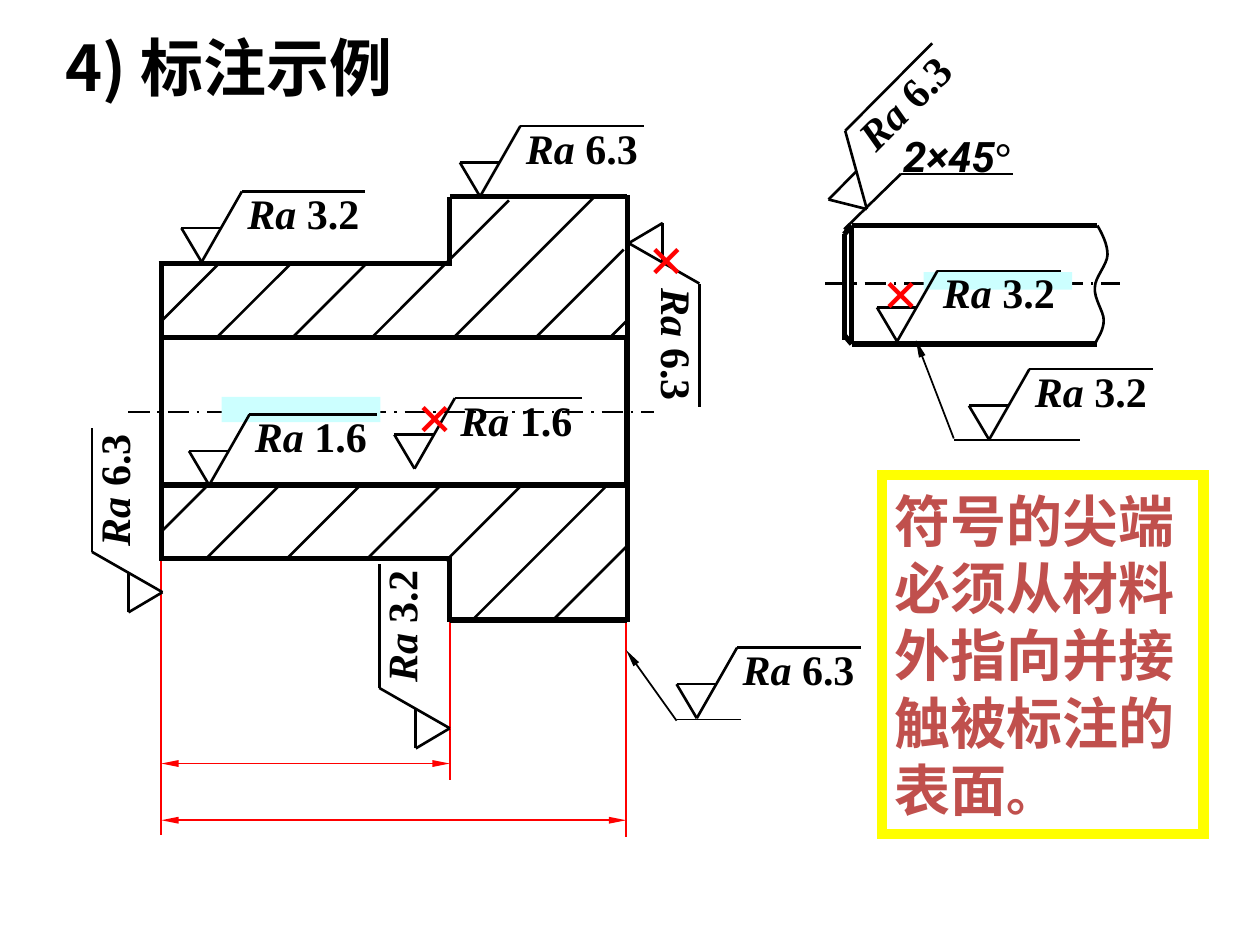
from math import cos, radians, sin

from lxml import etree
from pptx import Presentation
from pptx import util as u
from pptx.dml.color import RGBColor
from pptx.enum import dml, shapes, text
from pptx.oxml.ns import qn

BLACK, RED, YELLOW, CYAN, BRICK = "000000", "FF0000", "FFFF00", "CCFFFF", "C0504D"
CJK, SERIF, SANS = "Noto Sans CJK SC", "Times New Roman", "Roboto"

# Content: text
TITLE = "4) 标注示例"
NOTE = [[("符号的尖端必须从材料外指向并接", 32)], [("触被标注的表面", 32), ("。", 28)]]

# Content: roughness symbols as tip x, tip y, rotation, value, bar end
SYMBOLS = [
    (1.6, 2.08, 0, "3.2", 1.3), (3.81, 1.56, 0, "6.3", 1.3),
    (3.29, 3.72, 0, "1.6", 1.33), (1.66, 3.85, 0, "1.6", 1.33),
    (1.29, 4.7, 270, "6.3", 1.3), (3.57, 5.78, 270, "3.2", 1.3),
    (5.53, 5.7, 0, "6.3", 1.3), (4.99, 1.93, 90, "6.3", 1.3),
    (6.88, 1.66, 314.8, "6.3", 1.3), (7.85, 3.49, 0, "3.2", 1.3),
    (7.12, 2.71, 0, "3.2", 1.3),
]
WRONG_MARKS = [(5.4, 2.04), (3.56, 3.3), (7.26, 2.31)]
HIGHLIGHTS = [(7.33, 2.16, 1.18, 0.14), (1.76, 3.15, 1.26, 0.2)]

# Content: lines as x1, y1, x2, y2
CENTRE_LINES = [(6.55, 2.25, 8.89, 2.25), (1.02, 3.27, 5.19, 3.27)]
SHAFT_EDGES = [
    (6.76, 1.79, 6.76, 2.73), (6.76, 1.79, 8.71, 1.79), (6.76, 2.73, 8.71, 2.73),
    (6.76, 1.79, 6.7, 1.86), (6.76, 2.73, 6.7, 2.66), (6.7, 1.86, 6.7, 2.7),
]
BUSHING_EDGES = [
    (1.28, 2.08, 1.28, 4.45), (1.28, 4.43, 3.57, 4.43), (3.57, 2.11, 3.57, 1.56),
    (3.57, 1.56, 4.98, 1.56), (3.57, 4.42, 3.57, 4.94), (3.57, 4.92, 4.98, 4.92),
    (4.98, 1.55, 4.98, 4.94), (1.26, 2.09, 3.57, 2.09),
]
EXTENSION_LINES = [(4.97, 4.89, 4.97, 6.64), (1.28, 4.42, 1.28, 6.63), (3.57, 4.76, 3.57, 6.19)]
DIMENSIONS = [(1.28, 6.06, 3.57, 6.06), (1.28, 6.51, 4.97, 6.51)]
LEADERS = [(5.37, 5.72, 4.97, 5.16), (7.57, 3.48, 7.27, 2.7)]
LEADER_SHELVES = [(5.37, 5.71, 5.88, 5.71), (7.57, 3.49, 8.57, 3.49)]
CHAMFER_LINES = [(6.7, 1.82, 7.15, 1.38), (7.15, 1.38, 8.04, 1.38)]

# Hatching at 45 degrees: lower x, lower y, horizontal run
HATCHES = [
    (1.27, 2.56, 0.48), (1.72, 2.68, 0.58), (2.32, 2.68, 0.6), (2.95, 2.68, 1.09),
    (3.6, 2.68, 1.12), (4.25, 2.68, 0.7), (4.84, 2.68, 0.14), (1.27, 4.23, 0.37),
    (1.64, 4.43, 0.57), (2.28, 4.43, 0.57), (2.92, 4.43, 0.57), (3.54, 4.45, 0.59),
    (3.75, 4.92, 1.06), (4.38, 4.93, 0.6),
]
# Break curve of the shaft, as joined Bezier segments
BREAK_CURVE = [
    (8.71, 1.79), (8.75, 1.86), (8.79, 1.94), (8.79, 2.02), (8.79, 2.1), (8.69, 2.2),
    (8.69, 2.28), (8.68, 2.37), (8.76, 2.47), (8.76, 2.54), (8.76, 2.62), (8.72, 2.67), (8.69, 2.73),
]

presentation = Presentation()
presentation.slide_width, presentation.slide_height = u.Inches(10), u.Inches(7.5)
slide = presentation.slides.add_slide(presentation.slide_layouts[5])


def color(value):
    return RGBColor.from_string(value)


def inches(*values):
    return [u.Inches(value) for value in values]


def add_line(points, width, value=BLACK, dashed=False, arrows=()):
    line = slide.shapes.add_connector(shapes.MSO_CONNECTOR.STRAIGHT, *inches(*points))
    line.line.width, line.line.color.rgb = u.Pt(width), color(value)
    if dashed:
        line.line.dash_style = dml.MSO_LINE.LONG_DASH_DOT
    properties = line.line._get_or_add_ln()
    for end in arrows:
        etree.SubElement(properties, qn(f"a:{end}"), type="triangle", w="sm", len="lg")
    etree.SubElement(line._element.spPr, qn("a:effectLst"))


def add_rectangle(box, fill=None, outline=None, width=1):
    shape = slide.shapes.add_shape(shapes.MSO_SHAPE.RECTANGLE, *inches(*box))
    shape.shadow.inherit = False
    if fill:
        shape.fill.solid()
        shape.fill.fore_color.rgb = color(fill)
    else:
        shape.fill.background()
    if outline:
        shape.line.color.rgb, shape.line.width = color(outline), u.Pt(width)
        etree.SubElement(shape.line._get_or_add_ln(), qn("a:miter"), lim="800000")
    else:
        shape.line.fill.background()
    return shape


def add_run(paragraph, words, size, font, value=BLACK, italic=False):
    run = paragraph.add_run()
    run.text = words
    run.font.size, run.font.name, run.font.bold = u.Pt(size), font, True
    run.font.italic, run.font.color.rgb = italic, color(value)
    if font == CJK:
        etree.SubElement(run._r.rPr, qn("a:ea"), typeface=font)


def add_label(center_x, center_y, width, height, runs, rotation=0):
    box = slide.shapes.add_textbox(*inches(center_x - width / 2, center_y - height / 2, width, height))
    box.rotation = rotation
    box.text_frame.word_wrap = False
    box.text_frame.auto_size = text.MSO_AUTO_SIZE.SHAPE_TO_FIT_TEXT
    paragraph = box.text_frame.paragraphs[0]
    paragraph.alignment = text.PP_ALIGN.LEFT
    for run in runs:
        add_run(paragraph, *run)


def add_symbol(tip_x, tip_y, rotation, value, bar_end):
    cosine, sine = cos(radians(rotation)), sin(radians(rotation))

    def turn(x, y):
        return tip_x + x * cosine - y * sine, tip_y + x * sine + y * cosine

    tip, left, right = turn(0, 0), turn(-0.16, -0.27), turn(0.16, -0.27)
    corner, end = turn(0.32, -0.56), turn(bar_end, -0.56)
    for start, stop in [(left, tip), (tip, corner), (left, right), (corner, end)]:
        add_line(start + stop, 1.5)
    runs = [("Ra", 24, SERIF, BLACK, True), (f" {value}", 24, SERIF)]
    add_label(*turn(0.81, -0.39), 1.09, 0.5, runs, rotation)


# Title
title = slide.shapes.title
title.left, title.top, title.width, title.height = inches(0.42, 0.18, 2.96, 0.7)
title.text_frame.word_wrap = False
title.text_frame.vertical_anchor = text.MSO_ANCHOR.TOP
heading = title.text_frame.paragraphs[0]
heading.alignment, heading.line_spacing = text.PP_ALIGN.LEFT, u.Pt(43.2)
add_run(heading, TITLE, 36, CJK)

# Part outlines and dimensions
for points in CENTRE_LINES:
    add_line(points, 1.5, dashed=True)
for box in HIGHLIGHTS:
    add_rectangle(box, fill=CYAN)
for points in EXTENSION_LINES:
    add_line(points, 1, RED)
for points in DIMENSIONS:
    add_line(points, 1, RED, arrows=("headEnd", "tailEnd"))
for points in SHAFT_EDGES + BUSHING_EDGES:
    add_line(points, 3)
add_rectangle((1.28, 2.68, 3.69, 1.17), outline=BLACK, width=3)
for x, y, run_length in HATCHES:
    add_line((x, y, x + run_length, y - run_length), 1.5)

# Break curve
curve = []
for index in range(0, len(BREAK_CURVE) - 1, 3):
    segment = BREAK_CURVE[index:index + 4]
    for step in range(1, 9):
        t = step / 8
        weights = (1 - t) ** 3, 3 * t * (1 - t) ** 2, 3 * t * t * (1 - t), t ** 3
        curve.append(inches(*[sum(w * p[axis] for w, p in zip(weights, segment)) for axis in (0, 1)]))
builder = slide.shapes.build_freeform(*inches(*BREAK_CURVE[0]))
builder.add_line_segments(curve, close=False)
break_line = builder.convert_to_shape()
break_line.shadow.inherit = False
break_line.fill.background()
break_line.line.color.rgb, break_line.line.width = color(BLACK), u.Pt(1.5)

# Chamfer note, leaders, symbols and wrong marks
add_label(7.75, 1.24, 1.36, 0.5, [("2×45", 24, SANS, BLACK, True), ("°", 24, SERIF)])
for points in CHAMFER_LINES:
    add_line(points, 1.5)
for points in LEADERS:
    add_line(points, 1, arrows=("tailEnd",))
for points in LEADER_SHELVES:
    add_line(points, 1)
for symbol in SYMBOLS:
    add_symbol(*symbol)
for x, y in WRONG_MARKS:
    add_label(x, y, 0.7, 0.7, [("×", 36, SERIF, RED)])

# Note box
note = add_rectangle((7, 3.77, 2.55, 2.85), outline=YELLOW, width=6)
frame = note.text_frame
frame.word_wrap, frame.vertical_anchor = True, text.MSO_ANCHOR.MIDDLE
for index, runs in enumerate(NOTE):
    paragraph = frame.add_paragraph() if index else frame.paragraphs[0]
    paragraph.alignment, paragraph.line_spacing = text.PP_ALIGN.LEFT, u.Pt(38.4)
    for words, size in runs:
        add_run(paragraph, words, size, CJK, BRICK)

presentation.save("out.pptx")
